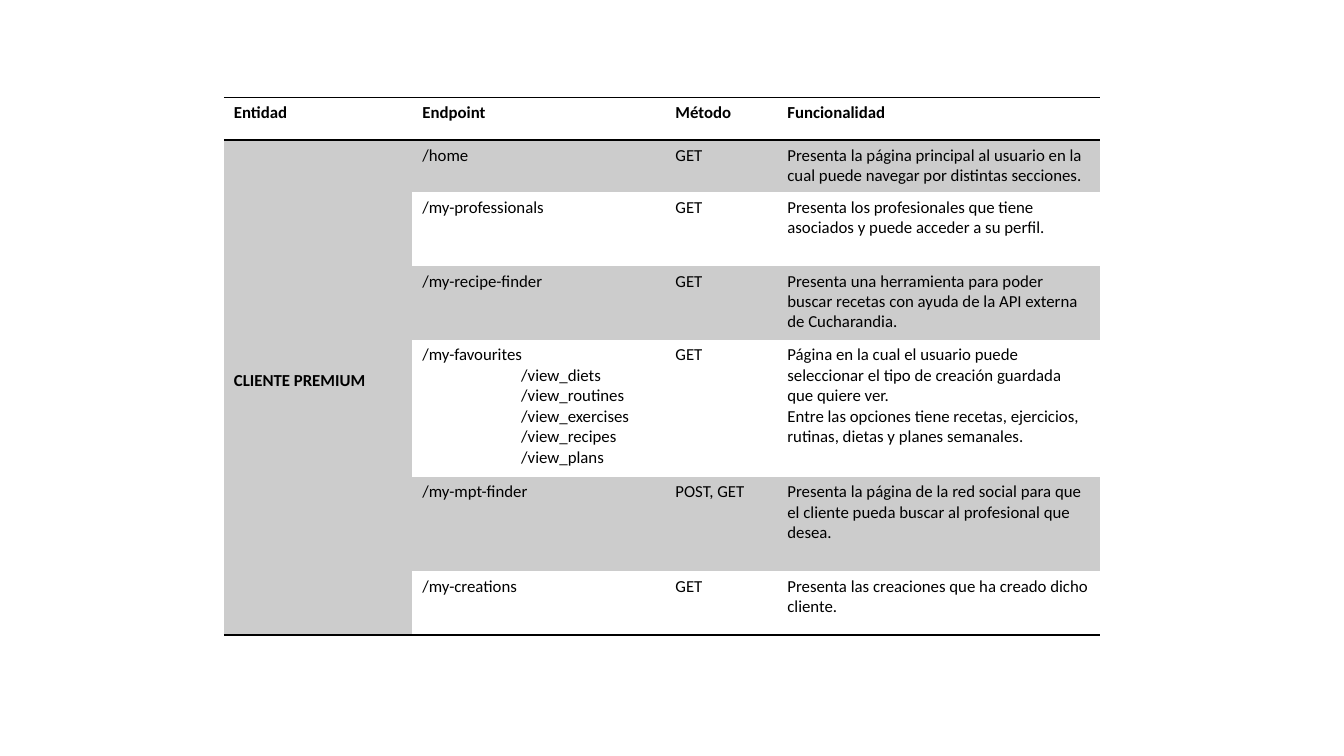
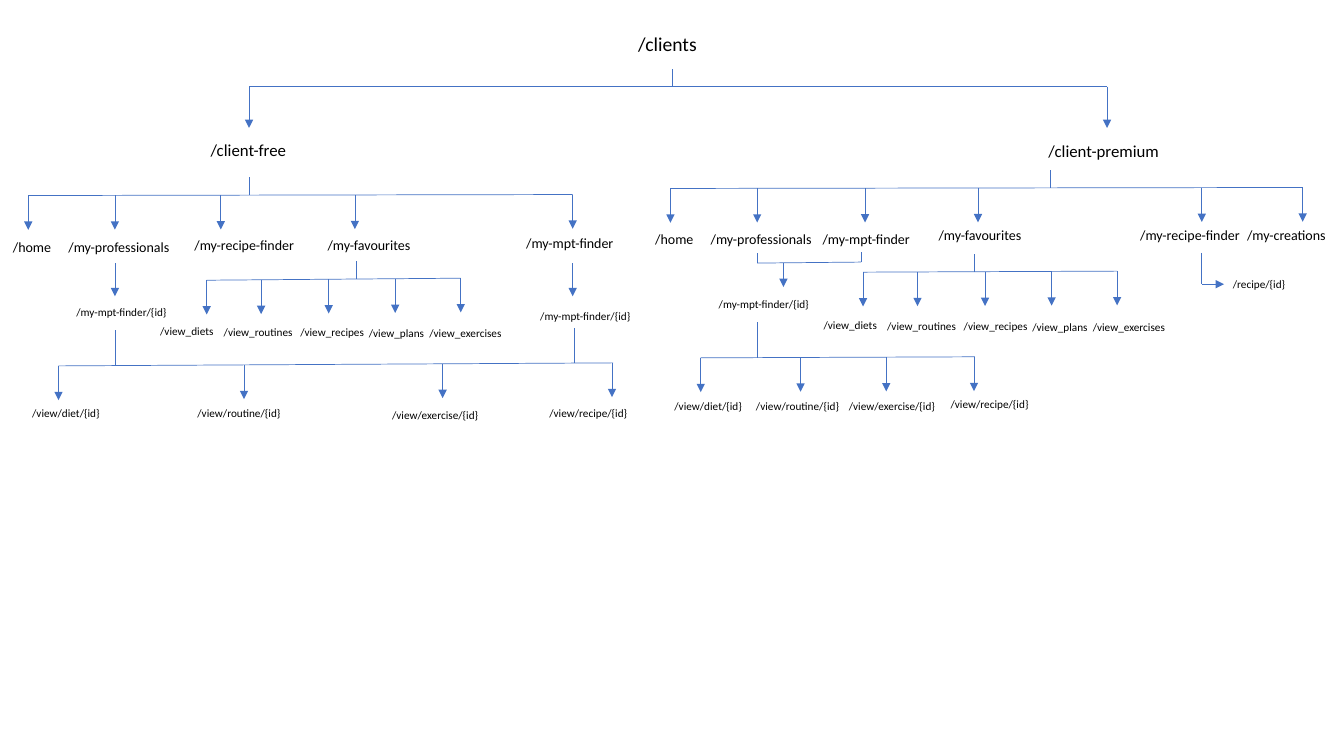
from lxml import etree
from pptx import Presentation
from pptx.dml.color import RGBColor
from pptx.enum.shapes import MSO_CONNECTOR
from pptx.enum.text import MSO_ANCHOR, MSO_AUTO_SIZE
from pptx.oxml.ns import qn
from pptx.util import Inches, Pt

STRAIGHT = MSO_CONNECTOR.STRAIGHT
MIDDLE = MSO_ANCHOR.MIDDLE
GROW = MSO_AUTO_SIZE.SHAPE_TO_FIT_TEXT

# Shared look
COLORS = {"text": "000000", "rule": "000000", "band": "CCCCCC", "branch": "4472C4"}
FONT = "Calibri"
BLANK_LAYOUT = 6
PLAIN_TABLE = "{2D5ABB26-0587-4C30-8999-92F81FD0307C}"
SUB_INDENT = 0.98

# Text size -> label height, and each route's text size and label width
HEIGHTS = {14: 0.34, 12: 0.3, 10: 0.27, 8: 0.24}
ROUTES = {
    "/clients": (14, 1.19),
    "/client-free": (12, 1.41),
    "/client-premium": (12, 1.88),
    "/home": (10, 0.72),
    "/my-professionals": (10, 1.29),
    "/my-recipe-finder": (10, 1.29),
    "/my-favourites": (10, 1.29),
    "/my-mpt-finder": (10, 1.29),
    "/my-creations": (10, 1.29),
    "/my-mpt-finder/{id}": (8, 1.13),
    "/recipe/{id}": (8, 0.96),
    "/view_diets": (8, 0.88),
    "/view_routines": (8, 1.05),
    "/view_recipes": (8, 0.88),
    "/view_plans": (8, 0.88),
    "/view_exercises": (8, 0.96),
    "/view/diet/{id}": (8, 0.88),
    "/view/routine/{id}": (8, 1.1),
    "/view/exercise/{id}": (8, 1.22),
    "/view/recipe/{id}": (8, 1.14),
}

HEADERS = ["Entidad", "Endpoint", "Método", "Funcionalidad"]
ENTITY = "CLIENTE PREMIUM"
ENDPOINTS = [
    ("/home", "GET",
     "Presenta la página principal al usuario en la cual puede navegar por "
     "distintas secciones."),
    ("/my-professionals", "GET",
     "Presenta los profesionales que tiene asociados y puede acceder a su perfil."),
    ("/my-recipe-finder", "GET",
     "Presenta una herramienta para poder buscar recetas con ayuda de la API "
     "externa de Cucharandia."),
    ("/my-favourites\n/view_diets\n/view_routines\n/view_exercises\n"
     "/view_recipes\n/view_plans", "GET",
     "Página en la cual el usuario puede seleccionar el tipo de creación guardada "
     "que quiere ver.\nEntre las opciones tiene recetas, ejercicios, rutinas, "
     "dietas y planes semanales."),
    ("/my-mpt-finder", "POST, GET",
     "Presenta la página de la red social para que el cliente pueda buscar al "
     "profesional que desea."),
    ("/my-creations", "GET",
     "Presenta las creaciones que ha creado dicho cliente."),
]
COLUMN_WIDTHS = [1.87, 2.51, 1.11, 3.2]
ROW_HEIGHTS = [0.42, 0.52, 0.73, 0.73, 1.36, 0.94, 0.63]

# Children of a branch: route, arrow x, label x, label drop (from the bar's left end)
CLIENT_TYPES = [("/client-free", 0, -0.48, 0.48),
                ("/client-premium", 8.51, 7.83, 0.49)]
FREE_MENU = [("/home", 0, -0.25, 0.38),
             ("/my-professionals", 0.86, 0.3, 0.38),
             ("/my-recipe-finder", 1.91, 1.55, 0.36),
             ("/my-favourites", 3.24, 2.87, 0.36),
             ("/my-mpt-finder", 5.4, 4.84, 0.34)]
PREMIUM_MENU = [("/home", 0, -0.25, 0.37),
                ("/my-professionals", 0.86, 0.3, 0.37),
                ("/my-mpt-finder", 1.93, 1.41, 0.37),
                ("/my-favourites", 3.05, 2.56, 0.33),
                ("/my-recipe-finder", 5.27, 4.56, 0.33),
                ("/my-creations", 6.27, 5.62, 0.33)]
FAVOURITES = [("/view_diets", 0, -0.56, 0.39),
              ("/view_routines", 0.54, 0.07, 0.4),
              ("/view_recipes", 1.21, 0.83, 0.4),
              ("/view_plans", 1.87, 1.51, 0.41),
              ("/view_exercises", 2.52, 2.11, 0.41)]
FREE_DETAILS = [("/view/diet/{id}", 0, -0.36, 0.35),
                ("/view/routine/{id}", 1.84, 1.28, 0.35),
                ("/view/exercise/{id}", 3.81, 3.21, 0.37),
                ("/view/recipe/{id}", 5.49, 4.77, 0.35)]
PREMIUM_DETAILS = [("/view/diet/{id}", 0, -0.36, 0.36),
                   ("/view/routine/{id}", 0.99, 0.45, 0.36),
                   ("/view/exercise/{id}", 1.84, 1.37, 0.36),
                   ("/view/recipe/{id}", 2.71, 2.38, 0.34)]


def style_text(frame, size, bold=False):
    for paragraph in frame.paragraphs:
        for run in paragraph.runs:
            run.font.name = FONT
            run.font.size = Pt(size)
            run.font.bold = bold
            run.font.color.rgb = RGBColor.from_string(COLORS["text"])


# Table parts
def add_rule(cell, side):
    props = cell._tc.get_or_add_tcPr()
    rule = etree.Element(qn("a:" + side), w=str(Pt(1)))
    fill = etree.SubElement(rule, qn("a:solidFill"))
    etree.SubElement(fill, qn("a:srgbClr"), val=COLORS["rule"])
    props.insert(0, rule)


def fill_cell(cell, text, bold=False, banded=False):
    cell.text_frame.text = text
    style_text(cell.text_frame, 12, bold)
    if banded:
        cell.fill.solid()
        cell.fill.fore_color.rgb = RGBColor.from_string(COLORS["band"])
    else:
        cell.fill.background()


def endpoint_table(slide, left, top):
    frame = slide.shapes.add_table(
        len(ROW_HEIGHTS), len(COLUMN_WIDTHS), Inches(left), Inches(top),
        Inches(sum(COLUMN_WIDTHS)), Inches(sum(ROW_HEIGHTS)))
    table = frame.table
    table._tbl.tblPr.find(qn("a:tableStyleId")).text = PLAIN_TABLE
    for column, width in zip(table.columns, COLUMN_WIDTHS):
        column.width = Inches(width)
    for row, height in zip(table.rows, ROW_HEIGHTS):
        row.height = Inches(height)

    for col, header in enumerate(HEADERS):
        fill_cell(table.cell(0, col), header, bold=True)
    for row, endpoint in enumerate(ENDPOINTS, start=1):
        for col, text in enumerate(endpoint, start=1):
            fill_cell(table.cell(row, col), text, banded=row % 2 == 1)
        for sub_route in table.cell(row, 1).text_frame.paragraphs[1:]:
            sub_route._p.get_or_add_pPr().set("marL", str(Inches(SUB_INDENT)))

    # The entity spans all endpoint rows
    last = len(ENDPOINTS)
    entity = table.cell(1, 0)
    entity.merge(table.cell(last, 0))
    fill_cell(entity, ENTITY, bold=True, banded=True)
    entity.vertical_anchor = MIDDLE
    entity.margin_bottom = Inches(0.19)

    for col in range(len(HEADERS)):
        for row in (0, last):
            add_rule(table.cell(row, col), "lnB")
        add_rule(table.cell(0, col), "lnT")
    add_rule(entity, "lnB")


# Tree parts
def add_label(slide, route, left, top):
    size, width = ROUTES[route]
    label = slide.shapes.add_textbox(Inches(left), Inches(top), Inches(width),
                                     Inches(HEIGHTS[size]))
    label.text_frame.word_wrap = True
    label.text_frame.auto_size = GROW
    label.text_frame.text = route
    style_text(label.text_frame, size)


def add_line(slide, x1, y1, x2, y2, arrow=False):
    line = slide.shapes.add_connector(STRAIGHT, Inches(x1), Inches(y1),
                                      Inches(x2), Inches(y2))
    line.line.color.rgb = RGBColor.from_string(COLORS["branch"])
    line.line.width = Pt(0.5)
    if arrow:
        etree.SubElement(line.line._get_or_add_ln(), qn("a:tailEnd"), type="triangle")
    etree.SubElement(line._element.spPr, qn("a:effectLst"))


def branch(slide, box, stems, children, stem=0.18, arrow=0.34):
    """Bar (left, top, width, rise) with stems above and arrows to its children."""
    left, top, width, rise = box

    def bar_y(x):
        return top - rise * x / width if width else top

    if width:
        add_line(slide, left, top, left + width, top - rise)
    for x in stems:
        add_line(slide, left + x, bar_y(x), left + x, bar_y(x) - stem)
    for route, x, label_x, drop in children:
        add_line(slide, left + x, bar_y(x), left + x, bar_y(x) + arrow, arrow=True)
        add_label(slide, route, left + label_x, top + drop)


def elbow(slide, left, top, width, height, route):
    add_line(slide, left, top, left, top + height)
    add_line(slide, left, top + height, left + width, top + height, arrow=True)
    add_label(slide, route, left + width - 0.01, top + height - 0.12)


def free_tree(slide, left, top):
    branch(slide, (left, top, 5.4, 0.01), [2.19], FREE_MENU)
    branch(slide, (left + 1.77, top + 0.84, 2.52, 0.02), [1.48], FAVOURITES)
    for x, label_x, drop in ((0.86, -0.48, 0.37), (5.4, -0.42, 0.41)):
        branch(slide, (left + x, top + 0.67, 0, 0), [],
               [("/my-mpt-finder/{id}", 0, label_x, drop)], arrow=0.33)
    branch(slide, (left + 0.3, top + 1.69, 5.5, 0.03), [0.56, 5.12], FREE_DETAILS,
           stem=0.35)


def premium_tree(slide, left, top):
    branch(slide, (left, top, 6.27, 0.01), [3.77], PREMIUM_MENU)
    branch(slide, (left + 0.86, top + 0.74, 1.03, 0.01), [0, 1.03],
           [("/my-mpt-finder/{id}", 0.26, -0.48, 0.29)], stem=0.1, arrow=0.24)
    favourites = [(route, x, label_x + 0.07, drop + 0.02)
                  for route, x, label_x, drop in FAVOURITES]
    branch(slide, (left + 1.91, top + 0.83, 2.52, 0.01), [1.1], favourites)
    elbow(slide, left + 5.27, top + 0.64, 0.22, 0.31, "/recipe/{id}")
    branch(slide, (left + 0.3, top + 1.68, 2.72, 0.01), [0.56], PREMIUM_DETAILS,
           stem=0.35)


def main():
    deck = Presentation()
    deck.slide_width, deck.slide_height = Inches(13.33), Inches(7.5)
    blank = deck.slide_layouts[BLANK_LAYOUT]

    endpoint_table(deck.slides.add_slide(blank), 2.22, 0.97)

    routes = deck.slides.add_slide(blank)
    add_label(routes, "/clients", 6.23, 0.27)
    branch(routes, (2.47, 0.86, 8.51, 0), [4.2], CLIENT_TYPES, arrow=0.41)
    free_tree(routes, 0.28, 1.94)
    premium_tree(routes, 6.65, 1.87)

    deck.save("out.pptx")


if __name__ == "__main__":
    main()
